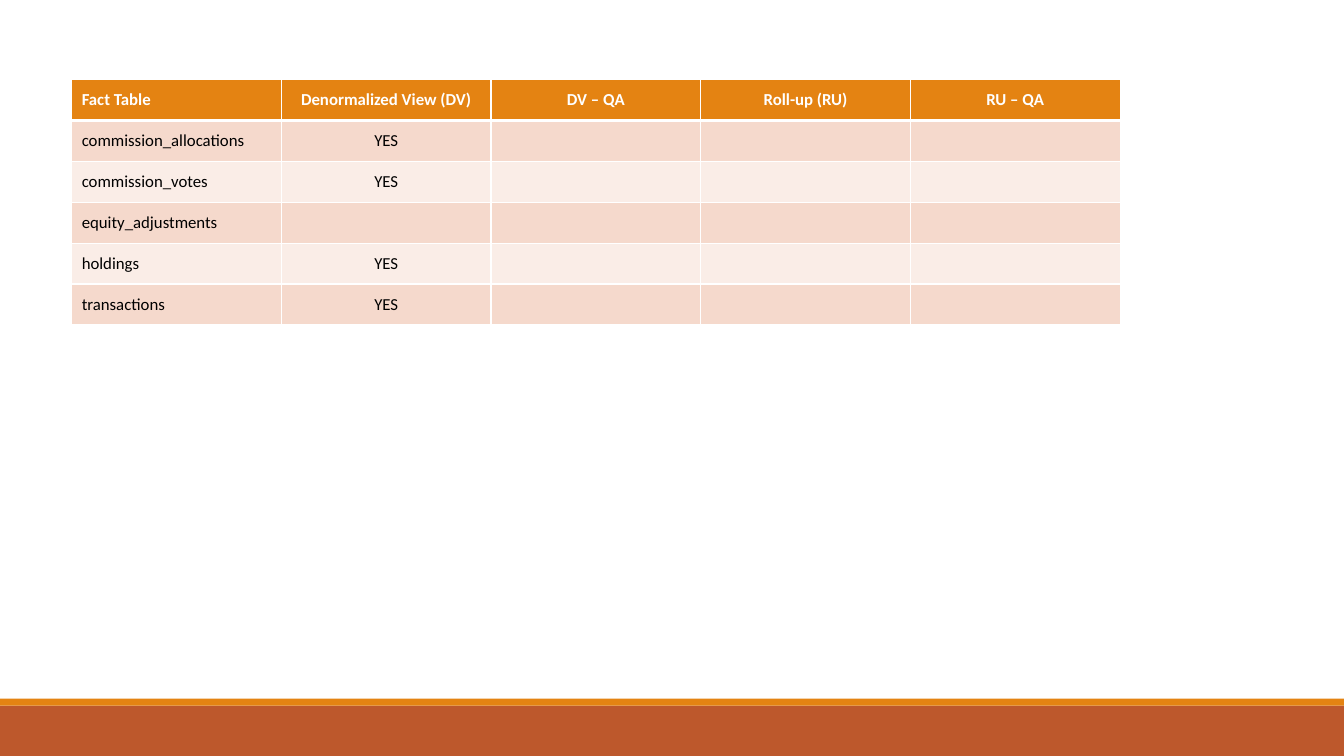
from dataclasses import dataclass

import lxml.etree
import pptx
import pptx.dml.color
import pptx.enum.shapes
import pptx.enum.text
import pptx.oxml.ns
import pptx.util

Pt = pptx.util.Pt
RGBColor = pptx.dml.color.RGBColor
ALIGN = pptx.enum.text.PP_ALIGN
qn = pptx.oxml.ns.qn

WHITE = RGBColor(0xFF, 0xFF, 0xFF)
BLACK = RGBColor(0, 0, 0)
ORANGE = RGBColor(0xE4, 0x83, 0x12)
RUST = RGBColor(0xBD, 0x58, 0x2C)
BAND_DARK = RGBColor(0xF5, 0xD9, 0xCC)
BAND_LIGHT = RGBColor(0xFA, 0xED, 0xE7)

SLIDE_W, SLIDE_H = 960, 540
TABLE_LEFT, TABLE_TOP = 51.2, 56.9
COL_W, ROW_H = 149.8, 29.2
RULE, HEADER_RULE = 1, 3

HEADERS = ["Fact Table", "Denormalized View (DV)", "DV – QA", "Roll-up (RU)", "RU – QA"]


@dataclass
class Bar:
    top: float
    height: float
    color: RGBColor


@dataclass
class FactTable:
    name: str
    denormalized: str = ""


FOOTER_BARS = [Bar(504, 36, RUST), Bar(499, 5, ORANGE)]
FACT_TABLES = [
    FactTable("commission_allocations", "YES"),
    FactTable("commission_votes", "YES"),
    FactTable("equity_adjustments"),
    FactTable("holdings", "YES"),
    FactTable("transactions", "YES"),
]


def add_bar(slide, bar: Bar) -> None:
    sp = slide.shapes.add_shape(
        pptx.enum.shapes.MSO_SHAPE.RECTANGLE, 0, Pt(bar.top), Pt(SLIDE_W), Pt(bar.height))
    sp.shadow.inherit = False
    sp.fill.solid()
    sp.fill.fore_color.rgb = bar.color
    sp.line.fill.background()


def write_text(tf, text: str, *, size: float = 12, bold: bool = False,
               color: RGBColor = BLACK, align: ALIGN = ALIGN.LEFT) -> None:
    p = tf.paragraphs[0]
    p.alignment = align
    r = p.add_run()
    r.text = text
    r.font.name = "Calibri"
    r.font.size = Pt(size)
    r.font.bold = bold
    r.font.color.rgb = color


def set_borders(cell, top: float, bottom: float) -> None:
    tc_pr = cell._tc.get_or_add_tcPr()
    sides = {"lnL": RULE, "lnR": RULE, "lnT": top, "lnB": bottom}
    for i, (side, width) in enumerate(sides.items()):
        ln = lxml.etree.Element(qn(f"a:{side}"), w=str(Pt(width)))
        fill = lxml.etree.SubElement(ln, qn("a:solidFill"))
        lxml.etree.SubElement(fill, qn("a:srgbClr"), val=str(WHITE))
        tc_pr.insert(i, ln)


def add_status_table(slide) -> None:
    rows = [HEADERS] + [[f.name, f.denormalized, "", "", ""] for f in FACT_TABLES]
    n_rows, n_cols = len(rows), len(HEADERS)
    table = slide.shapes.add_table(
        n_rows, n_cols, Pt(TABLE_LEFT), Pt(TABLE_TOP),
        Pt(COL_W * n_cols), Pt(ROW_H * n_rows)).table
    for col in table.columns:
        col.width = Pt(COL_W)
    for i, values in enumerate(rows):
        table.rows[i].height = Pt(ROW_H)
        header = i == 0
        band = ORANGE if header else BAND_DARK if i % 2 else BAND_LIGHT
        for j, text in enumerate(values):
            cell = table.cell(i, j)
            cell.vertical_anchor = pptx.enum.text.MSO_ANCHOR.MIDDLE
            cell.fill.solid()
            cell.fill.fore_color.rgb = band
            set_borders(cell, HEADER_RULE if i == 1 else RULE,
                        HEADER_RULE if header else RULE)
            if text:
                write_text(cell.text_frame, text, bold=header,
                           color=WHITE if header else BLACK,
                           align=ALIGN.CENTER if j else ALIGN.LEFT)


def main() -> None:
    prs = pptx.Presentation()
    prs.slide_width, prs.slide_height = Pt(SLIDE_W), Pt(SLIDE_H)
    slide = prs.slides.add_slide(prs.slide_layouts[6])
    slide.background.fill.solid()
    slide.background.fill.fore_color.rgb = WHITE
    for bar in FOOTER_BARS:
        add_bar(slide, bar)
    add_status_table(slide)
    prs.save("out.pptx")


if __name__ == "__main__":
    main()
